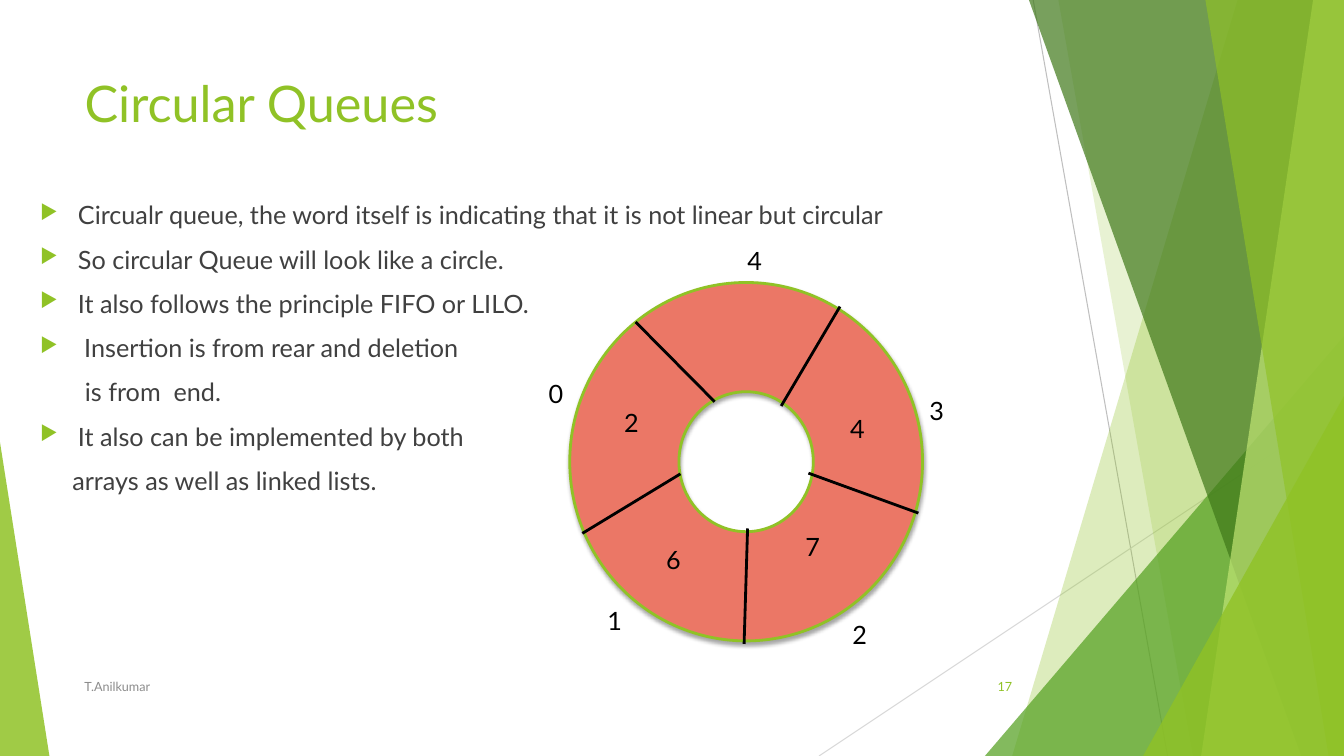
import dataclasses

import lxml.etree
import pptx
import pptx.dml.color
import pptx.enum.shapes
import pptx.enum.text
import pptx.oxml.ns
import pptx.util

Pt = pptx.util.Pt
qn = pptx.oxml.ns.qn
SHAPE = pptx.enum.shapes.MSO_SHAPE
ALIGN = pptx.enum.text.PP_ALIGN
ANCHOR = pptx.enum.text.MSO_ANCHOR


@dataclasses.dataclass(frozen=True)
class Theme:
    font: str = "Lato"
    lime: str = "90C226"
    pale: str = "C0E474"
    green: str = "54A021"
    forest: str = "3F7819"
    coral: str = "EB7766"
    black: str = "000000"
    text: str = "404040"
    muted: str = "8C8C8C"
    grey: str = "BFBFBF"
    silver: str = "D9D9D9"
    title: int = 36
    body: int = 18
    small: int = 9


def rgb(colour):
    return pptx.dml.color.RGBColor.from_string(colour)


def add(parent, tag, **attrs):
    return lxml.etree.SubElement(parent, qn(tag), attrs)


class Deck:
    """Draws styled elements on the current slide, measured in points."""

    def __init__(self, theme, width, height):
        self.theme, self.width, self.height = theme, width, height
        self.prs = pptx.Presentation()
        self.prs.slide_width, self.prs.slide_height = Pt(width), Pt(height)
        self.s = self.prs.slides.add_slide(self.prs.slide_layouts[6])

    def paint(self, sp, colour, alpha=100):
        sp.shadow.inherit = False
        sp.fill.solid()
        sp.fill.fore_color.rgb = rgb(colour)
        sp.line.fill.background()
        if alpha < 100:
            clr = sp._element.spPr.find(qn("a:solidFill"))[0]
            add(clr, "a:alpha", val=str(alpha * 1000))

    def band(self, top_x, bottom_x, colour, alpha):
        fb = self.s.shapes.build_freeform(Pt(top_x), 0)
        fb.add_line_segments([(Pt(x), Pt(y)) for x, y in (
            (self.width, 0), (self.width, self.height), (bottom_x, self.height))])
        self.paint(fb.convert_to_shape(), colour, alpha)

    def corner(self, x, y, width, peak, colour, alpha):
        sp = self.s.shapes.add_shape(SHAPE.ISOSCELES_TRIANGLE, Pt(x), Pt(y),
                                     Pt(width), Pt(self.height - y))
        sp.adjustments[0] = peak
        self.paint(sp, colour, alpha)

    def line(self, x1, y1, x2, y2, colour, weight):
        sp = self.s.shapes.add_connector(pptx.enum.shapes.MSO_CONNECTOR.STRAIGHT,
                                         Pt(x1), Pt(y1), Pt(x2), Pt(y2))
        sp.line.color.rgb = rgb(colour)
        sp.line.width = Pt(weight)
        add(sp._element.spPr, "a:effectLst")

    def ring(self, x, y, width, height, thickness):
        sp = self.s.shapes.add_shape(SHAPE.DONUT, Pt(x), Pt(y), Pt(width), Pt(height))
        sp.adjustments[0] = thickness / min(width, height)
        self.paint(sp, self.theme.coral)
        sp.line.color.rgb = rgb(self.theme.lime)
        sp.line.width = Pt(2)
        effects = sp._element.spPr.find(qn("a:effectLst"))
        shadow = add(effects, "a:outerShdw", blurRad=str(Pt(3)), dist=str(Pt(2)),
                     dir="5400000", rotWithShape="0")
        clr = add(shadow, "a:srgbClr", val=self.theme.black)
        add(clr, "a:alpha", val="35000")

    def text(self, x, y, width, height, text, size, colour,
             align=ALIGN.LEFT, anchor=ANCHOR.MIDDLE, inset=True):
        tf = self.s.shapes.add_textbox(Pt(x), Pt(y), Pt(width), Pt(height)).text_frame
        tf.word_wrap = True
        tf.vertical_anchor = anchor
        if not inset:
            tf.margin_left = tf.margin_right = tf.margin_top = tf.margin_bottom = 0
        tf.text = text
        for p in tf.paragraphs:
            p.alignment = align
            for r in p.runs:
                r.font.name = self.theme.font
                r.font.size = Pt(size)
                r.font.color.rgb = rgb(colour)
        return tf

    def digit(self, cx, cy, text):
        side = 24
        self.text(cx - side / 2, cy - side / 2, side, side, text, self.theme.body,
                  self.theme.black, ALIGN.CENTER, inset=False)

    def bullets(self, x, y, width, height, items):
        text = "\n".join(item[0] for item in items)
        tf = self.text(x, y, width, height, text, self.theme.body, self.theme.text,
                       anchor=ANCHOR.TOP)
        for p, (_, indent, marked) in zip(tf.paragraphs, items):
            p.space_before = Pt(10)
            pPr = p._p.get_or_add_pPr()
            pPr.set("marL", str(Pt(indent)))
            pPr.set("indent", str(Pt(-indent if marked else 0)))
            if marked:
                add(add(pPr, "a:buClr"), "a:srgbClr", val=self.theme.lime)
                add(pPr, "a:buSzPct", val="80000")
                add(pPr, "a:buChar", char="▶")
        tf.paragraphs[0].space_before = Pt(0)


def main():
    t = Theme()
    deck = Deck(t, 960, 540)

    deck.line(738, 0, 834, 540, t.grey, 0.75)
    deck.line(960, 290, 585, 540, t.silver, 0.75)
    deck.band(884, 723, t.lime, 30)
    deck.band(756, 852, t.lime, 20)
    deck.corner(703.5, 240, 256.5, 1, t.green, 72)
    deck.band(735, 929.5, t.forest, 70)
    deck.band(938, 858, t.pale, 70)
    deck.band(861, 949, t.lime, 65)
    deck.corner(816.5, 283, 143.5, 1, t.lime, 80)
    deck.corner(0, 316, 35.3, 0, t.lime, 85)

    deck.text(53.3, 48.2, 677, 104, "Circular Queues", t.title, t.lime, anchor=ANCHOR.TOP)
    deck.bullets(21.6, 139, 690, 298, [
        ("Circualr queue, the word itself is indicating that it is not linear but circular",
         27, True),
        ("So circular Queue will look like a circle.", 27, True),
        ("It also follows the principle FIFO or LILO.", 27, True),
        ("Insertion is from rear and deletion", 31.5, True),
        ("is from  end.", 32, False),
        ("It also can be implemented by both", 27, True),
        ("arrays as well as linked lists.", 23, False),
    ])

    deck.ring(407, 201.8, 252, 256, 78)
    for cut in ((454, 230, 510.5, 287), (600, 219, 558, 290), (656, 366.5, 577.5, 338),
                (534, 377.5, 531.5, 460), (486, 338.5, 416, 381)):
        deck.line(*cut, t.black, 0)

    positions = ((397, 281, "0"), (439, 443, "1"), (614, 453, "2"),
                 (669, 293, "3"), (539, 186, "4"))
    values = ((451, 302, "2"), (481, 399.5, "6"), (580.5, 390, "7"), (612.5, 306, "4"))
    for label in positions + values:
        deck.digit(*label)

    deck.text(53.3, 476, 496, 29, "T.Anilkumar", t.small, t.muted)
    deck.text(676, 476, 54, 29, "17", t.small, t.lime, ALIGN.RIGHT)
    deck.prs.save("out.pptx")


if __name__ == "__main__":
    main()
